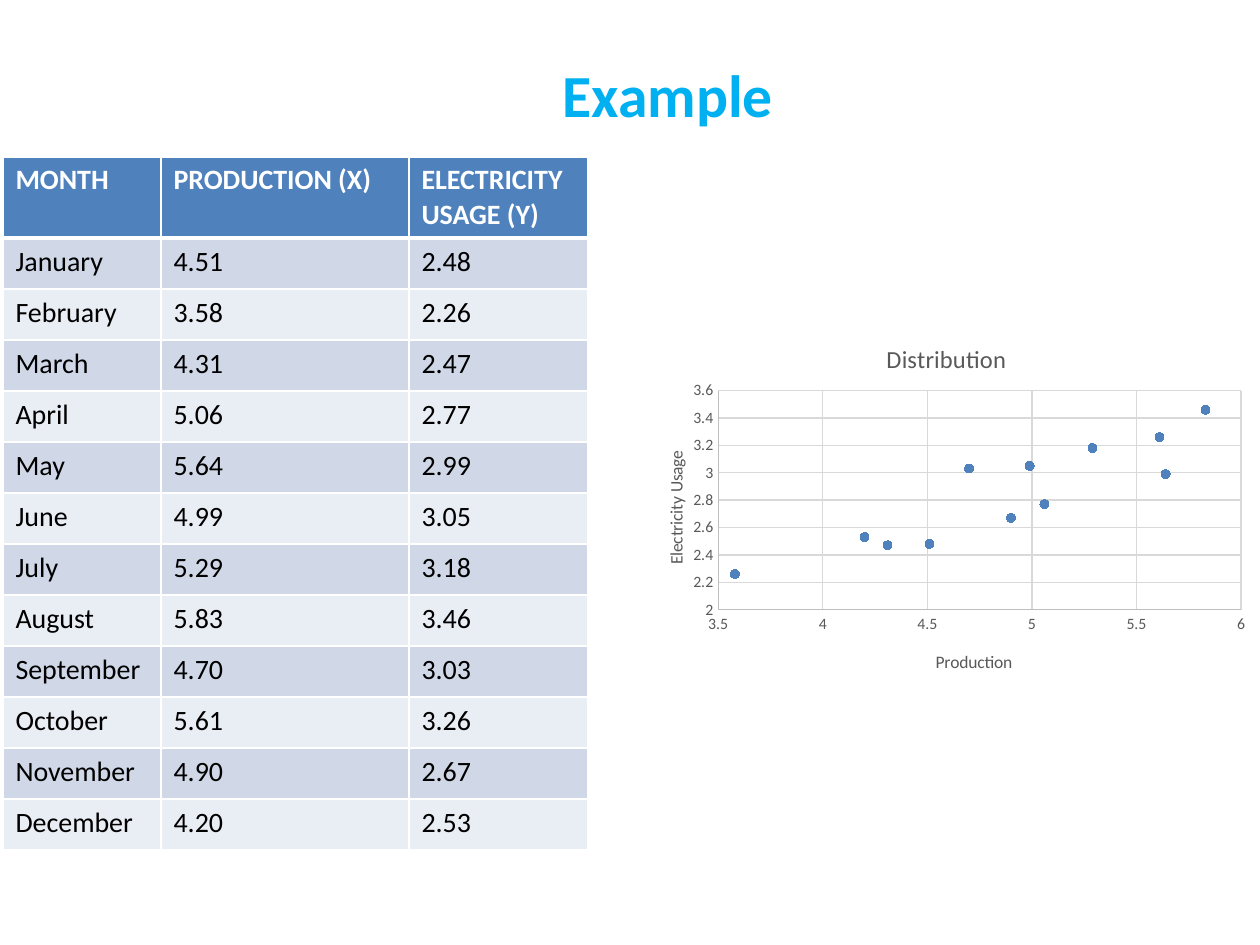
from lxml import etree
from pptx import Presentation
from pptx import util as u
from pptx.chart.data import XyChartData
from pptx.dml.color import RGBColor
from pptx.enum import chart as ch, text
from pptx.oxml import ns

PX = 914400 / 126
FONT = "Calibri"
BLUE, WHITE, GRAY = "4F81BD", "FFFFFF", "595959"
BANDS = "D0D8E8", "E9EDF4"
HEADS = "MONTH", "PRODUCTION (X)", "ELECTRICITY\nUSAGE (Y)"
DATA = [
    ("January", 4.51, 2.48), ("February", 3.58, 2.26), ("March", 4.31, 2.47),
    ("April", 5.06, 2.77), ("May", 5.64, 2.99), ("June", 4.99, 3.05),
    ("July", 5.29, 3.18), ("August", 5.83, 3.46), ("September", 4.70, 3.03),
    ("October", 5.61, 3.26), ("November", 4.90, 2.67), ("December", 4.20, 2.53),
]


def px(*nums):
    return [u.Emu(round(n * PX)) for n in nums]


def color(code):
    return RGBColor.from_string(code)


def style(font, size, code, bold=False):
    font.name, font.size, font.bold = FONT, u.Pt(size), bold
    font.color.rgb = color(code)


def style_text(frame, size, code, bold=False):
    for para in frame.paragraphs:
        for run in para.runs:
            style(run.font, size, code, bold)


def add_title(slide):
    box = slide.shapes.add_textbox(*px(160, 57, 1016, 79))
    frame = box.text_frame
    frame.word_wrap = True
    frame.vertical_anchor = text.MSO_ANCHOR.BOTTOM
    frame.text = "Example"
    frame.paragraphs[0].alignment = text.PP_ALIGN.CENTER
    style_text(frame, 34.1, "00B0F0", True)


def add_border(cell, side, width):
    line = etree.SubElement(cell._tc.get_or_add_tcPr(), ns.qn("a:" + side),
                            w=str(u.Pt(width)))
    fill = etree.SubElement(line, ns.qn("a:solidFill"))
    etree.SubElement(fill, ns.qn("a:srgbClr"), val=WHITE)


def fill_cell(cell, words, row):
    head = row == 0
    cell.text = words
    style_text(cell.text_frame, 16, WHITE if head else "000000", head)
    # Borders come before the fill in the cell properties
    for side in ("lnL", "lnR", "lnT", "lnB"):
        thick = head and side == "lnB" or row == 1 and side == "lnT"
        add_border(cell, side, 3 if thick else 1)
    cell.fill.solid()
    cell.fill.fore_color.rgb = color(BLUE if head else BANDS[(row - 1) % 2])


def add_grid(slide):
    rows = [HEADS] + [(m, f"{x:.2f}", f"{y:.2f}") for m, x, y in DATA]
    table = slide.shapes.add_table(len(rows), 3, *px(3, 157, 585, 692)).table
    for col, width in zip(table.columns, px(158, 248, 179)):
        col.width = width
    for r, row in enumerate(rows):
        table.rows[r].height = px(51 if r else 81)[0]
        for c, words in enumerate(row):
            fill_cell(table.cell(r, c), words, r)


def place(node, **parts):
    """Fix a chart part by fractions of the chart frame."""
    lay = node.find(ns.qn("c:layout"))
    if lay is None:
        lay = etree.Element(ns.qn("c:layout"))
        node.insert(int(node.find(ns.qn("c:tx")) is not None), lay)
    man = etree.SubElement(lay, ns.qn("c:manualLayout"))
    if "w" in parts:
        etree.SubElement(man, ns.qn("c:layoutTarget"), val="inner")
    for key in "xy":
        etree.SubElement(man, ns.qn(f"c:{key}Mode"), val="edge")
    for key, val in parts.items():
        etree.SubElement(man, ns.qn("c:" + key), val=str(val))


def set_title(title, words, size, x, y):
    title.text_frame.text = words
    style_text(title.text_frame, size, GRAY)
    place(title._element, x=x, y=y)


def set_axis(axis, low, high, step):
    axis.minimum_scale, axis.maximum_scale, axis.major_unit = low, high, step
    axis.major_tick_mark = axis.minor_tick_mark = ch.XL_TICK_MARK.NONE
    axis.has_major_gridlines = True
    style(axis.tick_labels.font, 9, GRAY)
    axis.tick_labels.number_format = "General"
    axis.tick_labels.number_format_is_linked = False
    for line, code in ((axis.format.line, "BFBFBF"),
                       (axis.major_gridlines.format.line, "D9D9D9")):
        line.color.rgb = color(code)
        line.width = u.Pt(0.75)


def add_plot(slide):
    data = XyChartData()
    points = data.add_series("Series 1")
    for _, x, y in DATA:
        points.add_data_point(x, y)
    chart = slide.shapes.add_chart(ch.XL_CHART_TYPE.XY_SCATTER,
                                   *px(630, 315, 630, 378), data).chart
    style(chart.font, 10, "000000")
    chart.has_legend = False
    chart.plots[0].vary_by_categories = False

    # Axes and titles
    across, up = chart.category_axis, chart.value_axis
    set_axis(across, 3.5, 6, 0.5)
    set_axis(up, 2, 3.6, 0.2)
    set_title(chart.chart_title, "Distribution", 14, 0.4, 0.06)
    set_title(across.axis_title, "Production", 10, 0.48, 0.88)
    set_title(up.axis_title, "Electricity Usage", 10, 0.05, 0.35)
    area = chart._chartSpace.chart.plotArea
    place(area, x=0.14, y=0.2, w=0.83, h=0.58)

    # Markers only
    dots = chart.plots[0].series[0]
    dots.smooth = False
    dots.format.line.fill.background()
    mark = dots.marker
    mark.style, mark.size = ch.XL_MARKER_STYLE.CIRCLE, 5
    mark.format.fill.solid()
    mark.format.fill.fore_color.rgb = color(BLUE)
    mark.format.line.color.rgb = color(BLUE)


def main():
    deck = Presentation()
    deck.slide_width, deck.slide_height = px(1260, 945)
    slide = deck.slides.add_slide(deck.slide_layouts[6])
    add_grid(slide)
    add_title(slide)
    add_plot(slide)
    deck.save("out.pptx")


if __name__ == "__main__":
    main()
